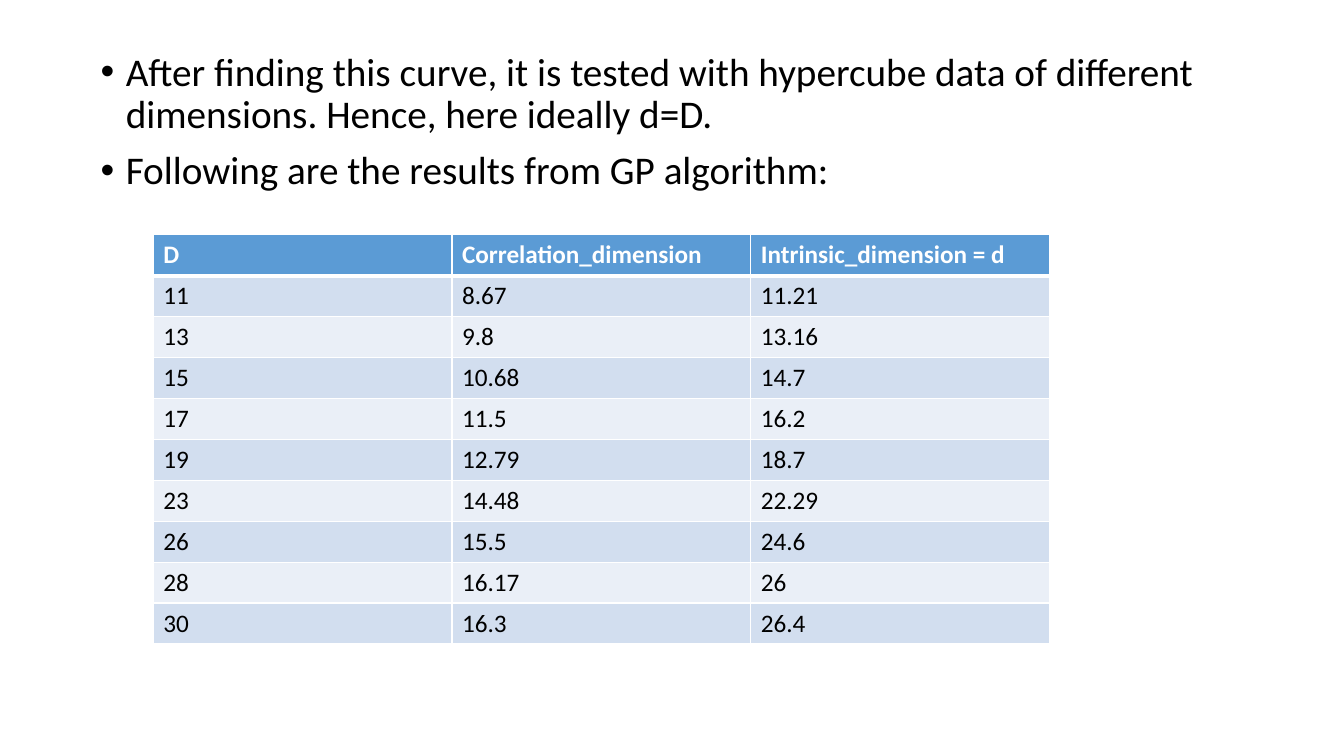
import pptx
import pptx.dml.color
import pptx.oxml
import pptx.oxml.ns
import pptx.util
from lxml import etree

Inches, Pt = pptx.util.Inches, pptx.util.Pt
qn = pptx.oxml.ns.qn

FONT = "Calibri"
COLORS = {"text": "000000", "white": "FFFFFF", "header": "5B9BD5",
          "odd": "D2DEEF", "even": "EAEFF7"}
BULLETS = [
    "After finding this curve, it is tested with hypercube data of different "
    "dimensions. Hence, here ideally d=D.",
    "Following are the results from GP algorithm:",
]
RESULTS = [
    ("D", "Correlation_dimension", "Intrinsic_dimension = d"),
    ("11", "8.67", "11.21"),
    ("13", "9.8", "13.16"),
    ("15", "10.68", "14.7"),
    ("17", "11.5", "16.2"),
    ("19", "12.79", "18.7"),
    ("23", "14.48", "22.29"),
    ("26", "15.5", "24.6"),
    ("28", "16.17", "26"),
    ("30", "16.3", "26.4"),
]


def rgb(name):
    return pptx.dml.color.RGBColor.from_string(COLORS[name])


def set_font(p, size, color, bold=False):
    p.font.name = FONT
    p.font.size = Pt(size)
    p.font.bold = bold
    p.font.color.rgb = rgb(color)


def add_bullet(p):
    pPr = p._p.get_or_add_pPr()
    pPr.set("marL", str(Inches(0.25)))
    pPr.set("indent", str(Inches(-0.25)))
    font = pptx.oxml.parse_xml(
        f'<a:buFont {pptx.oxml.ns.nsdecls("a")} typeface="Arial"/>')
    char = pptx.oxml.parse_xml(
        f'<a:buChar {pptx.oxml.ns.nsdecls("a")} char="\u2022"/>')
    pPr.insert_element_before(font, "a:tabLst", "a:defRPr", "a:extLst")
    pPr.insert_element_before(char, "a:tabLst", "a:defRPr", "a:extLst")


def set_borders(cell, widths):
    tcPr = cell._tc.get_or_add_tcPr()
    for side, width in widths.items():
        ln = etree.SubElement(tcPr, qn("a:ln" + side), w=str(Pt(width)))
        fill = etree.SubElement(ln, qn("a:solidFill"))
        etree.SubElement(fill, qn("a:srgbClr"), val=COLORS["white"])


prs = pptx.Presentation()
prs.slide_width, prs.slide_height = Inches(13.33), Inches(7.5)
slide = prs.slides.add_slide(prs.slide_layouts[6])

box = slide.shapes.add_textbox(Inches(0.9), Inches(0.47), Inches(11.5), Inches(6.79))
tf = box.text_frame
tf.word_wrap = True
for i, text in enumerate(BULLETS):
    p = tf.add_paragraph() if i else tf.paragraphs[0]
    p.text = text
    p.line_spacing = 0.9
    p.space_before = Pt(10)
    set_font(p, 28, "text")
    add_bullet(p)

table = slide.shapes.add_table(
    len(RESULTS), len(RESULTS[0]),
    Inches(1.52), Inches(2.33), Inches(8.89), Inches(4.06)).table
for i, row in enumerate(RESULTS):
    header = i == 0
    fill = "header" if header else "odd" if i % 2 else "even"
    for j, text in enumerate(row):
        cell = table.cell(i, j)
        cell.text = text
        set_font(cell.text_frame.paragraphs[0], 18,
                 "white" if header else "text", header)
        set_borders(cell, {"L": 1, "R": 1, "T": 3 if i == 1 else 1,
                           "B": 3 if header else 1})
        cell.fill.solid()
        cell.fill.fore_color.rgb = rgb(fill)

prs.save("out.pptx")
